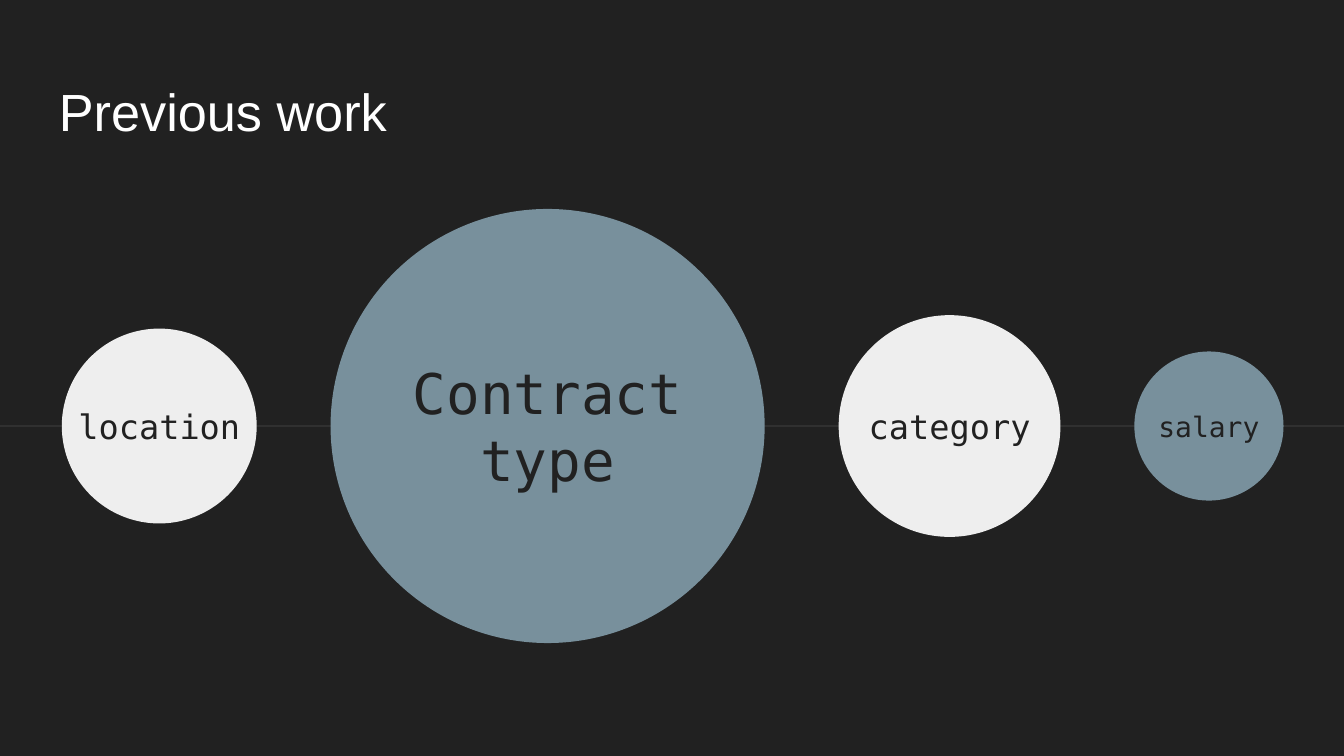
from lxml import etree
from pptx import Presentation
from pptx import util as u
from pptx.dml.color import RGBColor
from pptx.enum import shapes, text
from pptx.oxml.ns import qn

# Content: label, circle diameter, fill name, type size
TITLE = "Previous work"
FEATURES = [
    ("location", 1.45, "light", 18),
    ("Contract type", 3.23, "accent", 30),
    ("category", 1.65, "light", 18),
    ("salary", 1.11, "accent", 15),
]

THEME = {
    "dark": RGBColor.from_string("212121"),
    "rule": RGBColor.from_string("303030"),
    "light": RGBColor.from_string("EEEEEE"),
    "accent": RGBColor.from_string("78909C"),
    "white": RGBColor.from_string("FFFFFF"),
    "title_font": "Arial",
    "label_font": "DejaVu Sans Mono",
    "title_size": 28,
}

# Layout in inches, on a 16:9 page
WIDTH = 10
HEIGHT = WIDTH * 9 / 16
AXIS_Y = 3.17
FIRST_LEFT, GAP = 0.46, 0.55
LABEL_HEIGHT = 0.66


def add_text(page, words, area, font, size, color, align, anchor):
    box = page.shapes.add_textbox(*[u.Inches(length) for length in area])
    frame = box.text_frame
    frame.word_wrap = True
    frame.vertical_anchor = anchor
    frame.margin_left = frame.margin_right = u.Inches(0.1)
    frame.margin_top = frame.margin_bottom = u.Inches(0.1)
    para = frame.paragraphs[0]
    para.alignment = align
    span = para.add_run()
    span.text = words
    span.font.name = font
    span.font.size = u.Pt(size)
    span.font.color.rgb = color


def add_axis(page):
    axis = page.shapes.add_connector(
        shapes.MSO_CONNECTOR.STRAIGHT,
        u.Inches(-0.01), u.Inches(AXIS_Y), u.Inches(WIDTH), u.Inches(AXIS_Y))
    axis.line.color.rgb = THEME["rule"]
    axis.line.width = u.Pt(1.5)
    etree.SubElement(axis._element.spPr, qn("a:effectLst"))


def add_feature(page, left, label, diameter, fill, size):
    circle = page.shapes.add_shape(
        shapes.MSO_SHAPE.OVAL, u.Inches(left), u.Inches(AXIS_Y - diameter / 2),
        u.Inches(diameter), u.Inches(diameter))
    circle.shadow.inherit = False
    circle.fill.solid()
    circle.fill.fore_color.rgb = THEME[fill]
    circle.line.fill.background()
    area = (left, AXIS_Y - LABEL_HEIGHT / 2, diameter, LABEL_HEIGHT)
    add_text(page, label, area, THEME["label_font"], size, THEME["dark"],
             text.PP_ALIGN.CENTER, text.MSO_ANCHOR.MIDDLE)


def main():
    deck = Presentation()
    deck.slide_width, deck.slide_height = u.Inches(WIDTH), u.Inches(HEIGHT)
    page = deck.slides.add_slide(deck.slide_layouts[6])
    page.background.fill.solid()
    page.background.fill.fore_color.rgb = THEME["dark"]

    # Axis and title
    add_axis(page)
    add_text(page, TITLE, (0.34, 0.49, 9.32, 0.63), THEME["title_font"],
             THEME["title_size"], THEME["white"],
             text.PP_ALIGN.LEFT, text.MSO_ANCHOR.TOP)

    # Circles in a row, equal gaps, centred on the axis
    left = FIRST_LEFT
    for label, diameter, fill, size in FEATURES:
        add_feature(page, left, label, diameter, fill, size)
        left += diameter + GAP

    deck.save("out.pptx")


if __name__ == "__main__":
    main()
